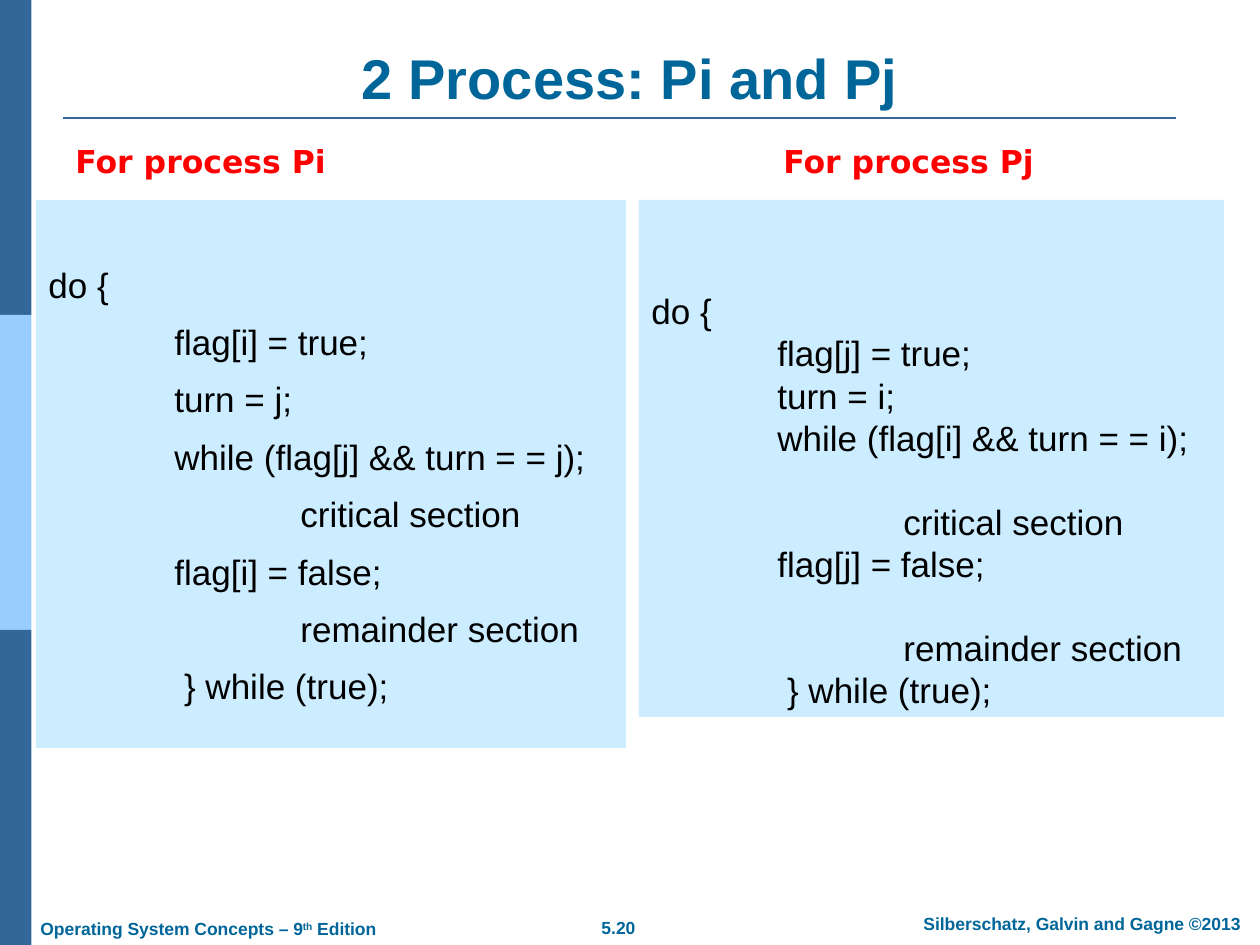
from pptx import Presentation
from pptx.dml.color import RGBColor
from pptx.enum.shapes import MSO_CONNECTOR as Connector, MSO_SHAPE as Preset
from pptx.enum.text import MSO_ANCHOR as Anchor, PP_ALIGN as Align
from pptx.oxml.ns import qn
from pptx.util import Emu, Pt
from lxml.etree import SubElement

PX_PER_INCH = 126
COLORS = {
    "bar": "336699", "bar_light": "99CCFF", "heading": "006699",
    "code_fill": "CCECFF", "code": "000000", "label": "FF0000",
}


def px(length):
    return Emu(round(length * 914400 / PX_PER_INCH))


def rgb(name):
    return RGBColor.from_string(COLORS[name])


def set_font(paragraph, size, color, bold=False, name="Arial"):
    font = paragraph.font
    font.name, font.size, font.bold = name, Pt(size), bold
    font.color.rgb = rgb(color)


def add_rectangle(slide, box, color):
    shape = slide.shapes.add_shape(Preset.RECTANGLE, *map(px, box))
    shape.shadow.inherit = False
    shape.fill.solid()
    shape.fill.fore_color.rgb = rgb(color)
    shape.line.fill.background()
    return shape


def add_text(slide, box, text, size, color, align=Align.LEFT, name="Arial"):
    text_box = slide.shapes.add_textbox(*map(px, box))
    text_box.text_frame.word_wrap = True
    paragraph = text_box.text_frame.paragraphs[0]
    paragraph.text = text
    paragraph.alignment = align
    set_font(paragraph, size, color, bold=True, name=name)
    return paragraph


def add_side_bar(slide, left, top, width, height):
    part = height / 3
    for index, color in enumerate(("bar", "bar_light", "bar")):
        add_rectangle(slide, (left, top + index * part, width, part), color)


def add_heading(slide, left, top, width, height):
    # Title
    title = slide.shapes.title
    title.left, title.top, title.width, title.height = map(px, (left, top, width, height))
    title.text_frame.vertical_anchor = Anchor.BOTTOM
    paragraph = title.text_frame.paragraphs[0]
    paragraph.text = "2 Process: Pi and Pj"
    paragraph.alignment = Align.CENTER
    set_font(paragraph, 32, "heading", bold=True)
    # Rule below the title
    rule_y = px(top + height + 1)
    rule = slide.shapes.add_connector(
        Connector.STRAIGHT, px(left), rule_y, px(left + width - 21), rule_y)
    rule.line.color.rgb = rgb("bar")
    rule.line.width = Pt(1.5)
    SubElement(rule._element.spPr, qn("a:effectLst"))


def add_code_panel(slide, box, own, other, top_inset, line_gap, section_gap):
    """Each row holds its indent level, text and space before it in points."""
    rows = [
        (0, "do {", 0),
        (1, f"flag[{own}] = true;", line_gap),
        (1, f"turn = {other};", line_gap),
        (1, f"while (flag[{other}] && turn = = {other});", line_gap),
        (2, "critical section", section_gap),
        (1, f"flag[{own}] = false;", line_gap),
        (2, "remainder section", section_gap),
        (1, " } while (true);", line_gap),
    ]
    panel = add_rectangle(slide, box, "code_fill")
    frame = panel.text_frame
    frame.word_wrap = True
    frame.vertical_anchor = Anchor.TOP
    frame.margin_top = px(top_inset)
    for index, (level, text, gap) in enumerate(rows):
        paragraph = frame.add_paragraph() if index else frame.paragraphs[0]
        paragraph.text = text
        paragraph.alignment = Align.LEFT
        paragraph.line_spacing = Pt(24)
        paragraph.space_before = Pt(gap)
        paragraph._p.get_or_add_pPr().set("marL", str(px(level * PX_PER_INCH)))
        set_font(paragraph, 20, "code")


def add_footer(slide, left, top, width, height):
    book = add_text(slide, (left, top + 5, 362, height),
                    "Operating System Concepts – 9", 10, "heading")
    ordinal = book.add_run()
    ordinal.text = "th"
    ordinal.font._element.set("baseline", "30000")
    book.add_run().text = " Edition"
    add_text(slide, (left + 528, top + 4, 125, height),
             "5.20", 10, "heading", Align.CENTER)
    add_text(slide, (left + width - 374, top, 374, height),
             "Silberschatz, Galvin and Gagne ©2013", 10, "heading", Align.CENTER)


def main():
    presentation = Presentation()
    presentation.slide_width, presentation.slide_height = px(1260), px(945)
    slide = presentation.slides.add_slide(presentation.slide_layouts[5])

    add_side_bar(slide, 0, 0, 31.5, 945)
    add_heading(slide, 63, 38, 1134, 79)

    # One column of code per process
    add_code_panel(slide, (36, 200, 590, 548), "i", "j", 63, 8.8, 8.8)
    add_code_panel(slide, (639, 200, 585, 517), "j", "i", 90, 0, 24)
    for left, process in ((63, "Pi"), (771, "Pj")):
        add_text(slide, (left, 136, 426, 50), f"For process {process}",
                 18, "label", name="DejaVu Sans")

    add_footer(slide, 28, 907, 1241, 34)
    presentation.save("out.pptx")


if __name__ == "__main__":
    main()
